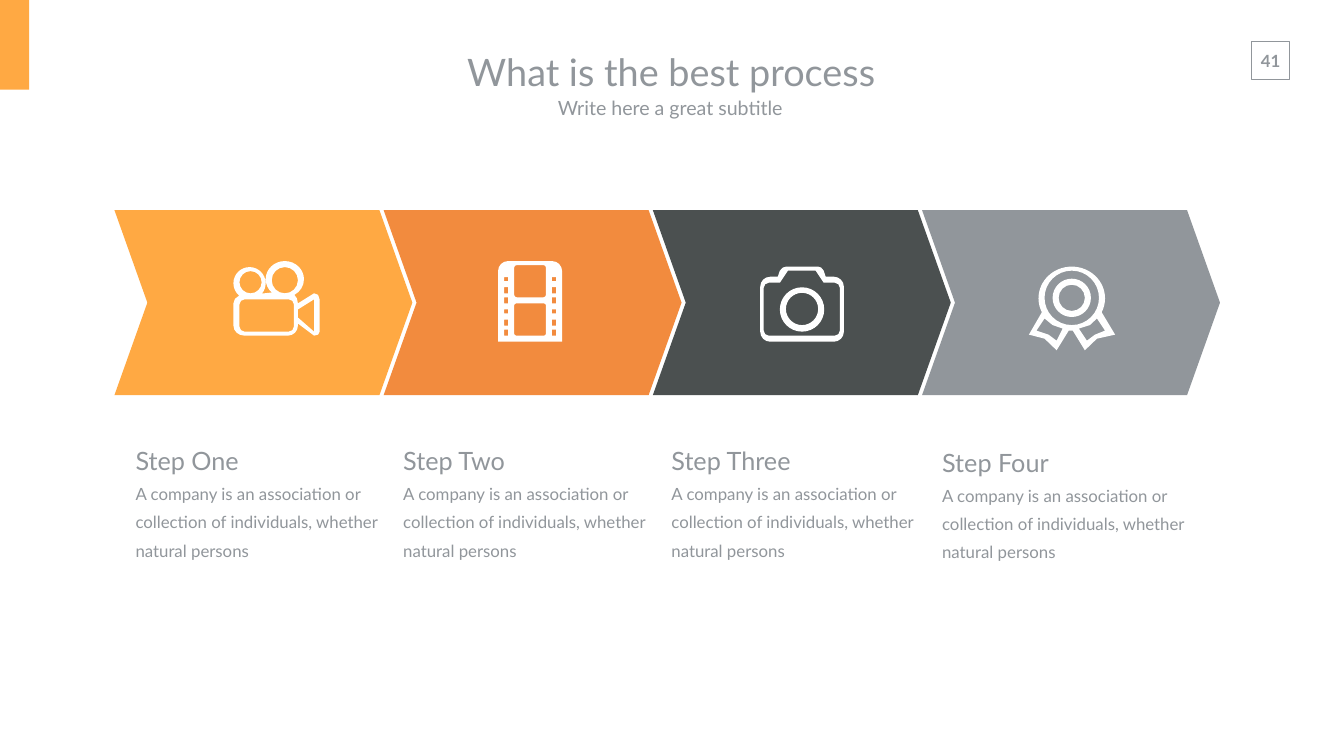
from math import cos, radians, sin, tan

from lxml.etree import SubElement
from pptx import Presentation
from pptx.dml.color import RGBColor
from pptx.enum.shapes import MSO_SHAPE
from pptx.enum.text import MSO_ANCHOR, MSO_AUTO_SIZE, PP_ALIGN
from pptx.oxml.ns import qn
from pptx.util import Inches, Pt

ORANGE, DEEP_ORANGE, CHARCOAL, GRAY, WHITE = "FFA943", "F28B3E", "4B5050", "91969B", "FFFFFF"
BODY = "A company is an association or collection of individuals, whether natural persons"


def color(hex_string):
    return RGBColor.from_string(hex_string)


def arc(x, y, radius_x, radius_y, start, end):
    """Return a start point and Bezier curves (control, control, end), split at right angles."""
    inner = [a for a in range(-360, 361, 90) if min(start, end) < a < max(start, end)]
    stops = [start, *sorted(inner, reverse=end < start), end]

    def point(angle, pull=0.0):
        a = radians(angle)
        return (x + radius_x * (cos(a) - pull * sin(a)), y + radius_y * (sin(a) + pull * cos(a)))

    nodes = [point(start)]
    for first, last in zip(stops, stops[1:]):
        pull = 4 / 3 * tan(radians(last - first) / 4)
        nodes.append((point(first, pull), point(last, -pull), point(last)))
    return nodes


def circle(x, y, radius):
    return arc(x, y, radius, radius, 0, 360)


def box(left, top, right, bottom, upper=0.0, lower=0.0):
    """Return a rectangle with the given upper and lower corner radii."""
    nodes = []
    for x, y, radius, start in (
        (left + upper, top + upper, upper, -180),
        (right - upper, top + upper, upper, -90),
        (right - lower, bottom - lower, lower, 0),
        (left + lower, bottom - lower, lower, 90),
    ):
        nodes += arc(x, y, radius, radius, start, start + 90) if radius else [(x, y)]
    return nodes


def video_camera():
    outline = [(6.23, 5.82), (5.91, 6.02), (5.89, 5.92)]
    outline += arc(5.65, 5.54, 0.38, 0.36, 60, -227)
    outline += arc(4.95, 5.62, 0.32, 0.32, 40, -230)
    outline += [(4.66, 5.93), (4.63, 6.02)]
    outline += arc(4.85, 6.46, 0.22, 0.2, 180, 90)
    outline += arc(5.71, 6.46, 0.2, 0.2, 90, 0)
    outline += [(5.91, 6.42), (6.23, 6.66), (6.31, 6.64), (6.34, 6.58), (6.34, 5.94), (6.31, 5.85)]
    lens = [(6.23, 6.58), (5.91, 6.3), (5.91, 6.14), (6.23, 5.94)]
    return [outline, circle(4.97, 5.6, 0.22), circle(5.65, 5.56, 0.26),
            box(4.75, 5.94, 5.83, 6.58, 0.1, 0.1), lens]


def film_strip():
    contours = [box(9.88, 5.18, 11.15, 6.78, upper=0.2),
                box(10.2, 5.26, 10.83, 5.9, 0.05, 0.05),
                box(10.2, 6.02, 10.83, 6.66, 0.04, 0.04)]
    for left in (10, 10.95):
        for top, bottom in ((5.5, 5.58), (5.7, 5.82), (5.9, 6.02),
                            (6.14, 6.22), (6.34, 6.46), (6.54, 6.66)):
            contours.append(box(left, top, left + 0.08, bottom))
    return contours


def photo_camera():
    body = box(15.08, 5.49, 16.74, 6.78, 0.2, 0.2)
    outline = body[:2] + [(15.43, 5.49), (15.47, 5.37), (15.53, 5.31), (15.59, 5.29),
                          (16.23, 5.29), (16.29, 5.31), (16.34, 5.37), (16.38, 5.49)] + body[2:]
    back = box(15.15, 5.61, 16.66, 6.66, 0.1, 0.1)
    inside = back[:2] + [(15.47, 5.61), (15.55, 5.49), (15.63, 5.37),
                         (16.18, 5.37), (16.26, 5.49), (16.34, 5.61)] + back[2:]
    return [outline, inside, circle(15.91, 6.14, 0.44), circle(15.91, 6.13, 0.32)]


def award_ribbon():
    outline = arc(21.26, 5.92, 0.66, 0.63, -206, 26)
    outline += [(22.12, 6.64), (21.76, 6.72), (21.52, 6.95), (21.28, 6.56),
                (21.2, 6.56), (20.96, 6.95), (20.72, 6.72), (20.41, 6.64)]
    left_tail = [(20.96, 6.76), (20.8, 6.64), (20.56, 6.56), (20.72, 6.32),
                 (20.88, 6.45), (21.08, 6.52)]
    right_tail = [(21.56, 6.76), (21.4, 6.52), (21.62, 6.45), (21.76, 6.32),
                  (21.92, 6.56), (21.72, 6.64)]
    return [outline, circle(21.26, 5.91, 0.54), circle(21.26, 5.91, 0.38),
            circle(21.26, 5.91, 0.26), left_tail, right_tail]


class ProcessSlide:
    font_name = "Lato"
    text_color = GRAY

    def __init__(self, presentation):
        self.slide = presentation.slides.add_slide(presentation.slide_layouts[6])

    def paint(self, shape, fill=None, line=None):
        shape.shadow.inherit = False
        if fill:
            shape.fill.solid()
            shape.fill.fore_color.rgb = color(fill)
        else:
            shape.fill.background()
        if line:
            shape.line.color.rgb = color(line)
            shape.line.width = Pt(1)
        else:
            shape.line.fill.background()

    def shape(self, kind, left, top, width, height, fill=None, line=None):
        shape = self.slide.shapes.add_shape(
            kind, Inches(left), Inches(top), Inches(width), Inches(height))
        self.paint(shape, fill, line)
        return shape

    def icon(self, contours):
        """Draw one white outline with holes, then bend its lines into the curves."""
        builder = None
        for nodes in contours:
            ends = [node[-1] if len(node) == 3 else node for node in nodes]
            points = [(Inches(x), Inches(y)) for x, y in ends]
            if builder:
                builder.move_to(*points[0])
            else:
                builder = self.slide.shapes.build_freeform(*points[0])
            builder.add_line_segments(points[1:])
        shape = builder.convert_to_shape()
        self.paint(shape, WHITE)
        segments = [node for nodes in contours for node in nodes[1:]]
        for element, node in zip(list(shape.element.iter(qn("a:lnTo"))), segments):
            if len(node) == 3:
                element.tag = qn("a:cubicBezTo")
                element.remove(element[0])
                for x, y in node:
                    SubElement(element, qn("a:pt"), x=str(int(Inches(x) - shape.left)),
                               y=str(int(Inches(y) - shape.top)))

    def text(self, left, top, width, height, lines, align=PP_ALIGN.LEFT, anchor=MSO_ANCHOR.TOP,
             inset=(0.1, 0.05), spacing=1.0, bold=False, wrap=True):
        """Add a text box; lines holds (text, size) pairs, one for each paragraph."""
        text_box = self.slide.shapes.add_textbox(
            Inches(left), Inches(top), Inches(width), Inches(height))
        frame = text_box.text_frame
        frame.word_wrap = wrap
        frame.auto_size = MSO_AUTO_SIZE.SHAPE_TO_FIT_TEXT
        frame.vertical_anchor = anchor
        frame.margin_left = frame.margin_right = Inches(inset[0])
        frame.margin_top = frame.margin_bottom = Inches(inset[1])
        for index, (text, size) in enumerate(lines):
            paragraph = frame.add_paragraph() if index else frame.paragraphs[0]
            paragraph.alignment = align
            paragraph.line_spacing = spacing
            run = paragraph.add_run()
            run.text = text
            run.font.name = self.font_name
            run.font.size = Pt(size)
            run.font.bold = bold
            run.font.color.rgb = color(self.text_color)

    def heading(self, left, top, height, text, size):
        self.text(left, top, 10.33, height, [(text, size)], PP_ALIGN.CENTER,
                  MSO_ANCHOR.MIDDLE, inset=(0.27, 0.13))


def main():
    presentation = Presentation()
    presentation.slide_width, presentation.slide_height = Inches(26.66), Inches(15)
    page = ProcessSlide(presentation)
    page.text(24.8, 0.9, 0.81, 0.61, [("41", 24)], PP_ALIGN.CENTER,
              inset=(0.2, 0.1), bold=True, wrap=False)
    page.shape(MSO_SHAPE.RECTANGLE, 24.83, 0.82, 0.75, 0.75, line=GRAY)
    page.shape(MSO_SHAPE.RECTANGLE, 0, 0, 0.58, 1.78, ORANGE)
    page.heading(8.15, 0.83, 1.18, "What is the best process", 54)
    page.heading(8.13, 1.76, 0.74, "Write here a great subtitle", 28)
    steps = [
        ("Step One", 2.59, 8.55, ORANGE, video_camera),
        ("Step Two", 7.9, 8.55, DEEP_ORANGE, film_strip),
        ("Step Three", 13.22, 8.55, CHARCOAL, photo_camera),
        ("Step Four", 18.59, 8.58, GRAY, award_ribbon),
    ]
    for index, (title, left, top, fill, icon) in enumerate(steps):
        page.text(left, top, 5.34, 2.62, [(title, 36), (BODY, 24)], spacing=1.4)
        chevron = page.shape(MSO_SHAPE.CHEVRON, 2.27 + 5.34 * index, 4.17, 5.91, 3.67, fill)
        chevron.adjustments[0] = 0.178
        page.icon(icon())
    presentation.save("out.pptx")


if __name__ == "__main__":
    main()
